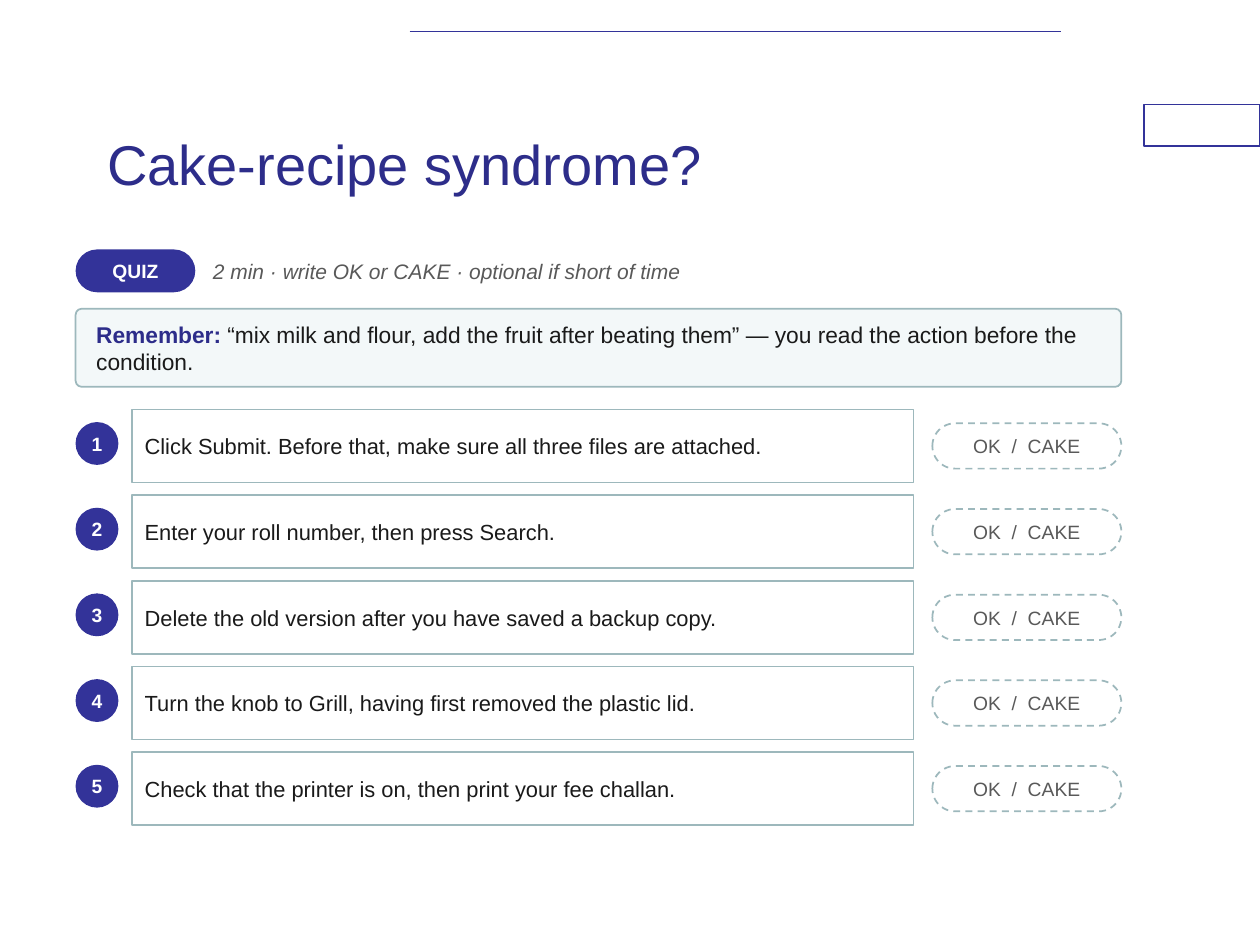
from lxml.etree import SubElement
from pptx import Presentation
from pptx.dml.color import RGBColor
from pptx.enum.dml import MSO_LINE
from pptx.enum.shapes import MSO_CONNECTOR, MSO_SHAPE
from pptx.enum.text import MSO_ANCHOR, PP_ALIGN
from pptx.oxml.ns import qn
from pptx.util import Inches, Pt

TITLE = "Cake-recipe syndrome?"
BADGE = "QUIZ"
INSTRUCTION = "2 min · write OK or CAKE · optional if short of time"
REMINDER_LABEL = "Remember: "
REMINDER = ("“mix milk and flour, add the fruit after beating them” — "
            "you read the action before the condition.")
QUESTIONS = [
    "Click Submit. Before that, make sure all three files are attached.",
    "Enter your roll number, then press Search.",
    "Delete the old version after you have saved a backup copy.",
    "Turn the knob to Grill, having first removed the plastic lid.",
    "Check that the printer is on, then print your fee challan.",
]
ANSWER = "OK  /  CAKE"

FONT = "Arial"
INDIGO = RGBColor(0x33, 0x33, 0x99)
TITLE_BLUE = RGBColor(0x2D, 0x2D, 0x8A)
TEAL = RGBColor(0x9D, 0xB8, 0xBC)
PALE_TEAL = RGBColor(0xF3, 0xF8, 0xF9)
INK = RGBColor(0x1A, 0x1A, 0x1A)
GREY = RGBColor(0x59, 0x59, 0x59)
WHITE = RGBColor(0xFF, 0xFF, 0xFF)

LEFT = 0.6
FIRST_ROW_TOP = 3.25
ROW_PITCH = 0.68


def add_box(slide, kind, box, fill=None, line=None, width=1, radius=None):
    """Add a preset shape; box is left, top, width and height in inches."""
    shape = slide.shapes.add_shape(kind, *map(Inches, box))
    shape.shadow.inherit = False
    if fill is None:
        shape.fill.background()
    else:
        shape.fill.solid()
        shape.fill.fore_color.rgb = fill
    if line is None:
        shape.line.fill.background()
    else:
        shape.line.color.rgb = line
        shape.line.width = Pt(width)
    if radius is not None:
        shape.adjustments[0] = radius
    return shape


def format_font(font, size, color, bold=False, italic=False):
    font.name = FONT
    font.size = Pt(size)
    font.color.rgb = color
    font.bold = bold
    font.italic = italic


def write(shape, text, size, color, inset, align=PP_ALIGN.LEFT, **style):
    """Fill a shape with one vertically centred paragraph and return it."""
    frame = shape.text_frame
    frame.word_wrap = True
    frame.vertical_anchor = MSO_ANCHOR.MIDDLE
    frame.margin_left = frame.margin_right = Inches(inset)
    frame.margin_top = frame.margin_bottom = Inches(inset)
    frame.text = text
    paragraph = frame.paragraphs[0]
    paragraph.alignment = align
    format_font(paragraph.runs[0].font, size, color, **style)
    return paragraph


def add_header(slide):
    add_box(slide, MSO_SHAPE.RECTANGLE, (9.08, 0.83, 0.92, 0.33), WHITE, INDIGO, 0.75)
    rule = slide.shapes.add_connector(
        MSO_CONNECTOR.STRAIGHT, Inches(3.25), Inches(0.25), Inches(8.42), Inches(0.25))
    rule.line.color.rgb = INDIGO
    rule.line.width = Pt(1)
    SubElement(rule._element.spPr, qn("a:effectLst"))

    title = slide.shapes.title
    title.left, title.top = Inches(0.75), Inches(0.67)
    title.width, title.height = Inches(7.5), Inches(1.25)
    write(title, TITLE, 32, TITLE_BLUE, 0.1)


def add_introduction(slide):
    badge = add_box(slide, MSO_SHAPE.ROUNDED_RECTANGLE, (LEFT, 1.98, 0.95, 0.34),
                    INDIGO, radius=0.5)
    write(badge, BADGE, 11, WHITE, 0.03, PP_ALIGN.CENTER, bold=True)

    instruction = slide.shapes.add_textbox(
        Inches(1.67), Inches(1.98), Inches(7.23), Inches(0.34))
    write(instruction, INSTRUCTION, 12, GREY, 0.02, italic=True)

    reminder = add_box(slide, MSO_SHAPE.ROUNDED_RECTANGLE, (LEFT, 2.45, 8.3, 0.62),
                       PALE_TEAL, TEAL, radius=0.08)
    paragraph = write(reminder, REMINDER_LABEL, 13, TITLE_BLUE, 0.15, bold=True)
    run = paragraph.add_run()
    run.text = REMINDER
    format_font(run.font, 13, INK)


def add_question(slide, number, question):
    top = FIRST_ROW_TOP + (number - 1) * ROW_PITCH
    marker = add_box(slide, MSO_SHAPE.OVAL, (LEFT, top + 0.1, 0.34, 0.34), INDIGO)
    write(marker, str(number), 11, WHITE, 0, PP_ALIGN.CENTER, bold=True)

    card = add_box(slide, MSO_SHAPE.RECTANGLE, (1.05, top, 6.2, 0.58), WHITE, TEAL)
    write(card, question, 12.5, INK, 0.1)

    answer = add_box(slide, MSO_SHAPE.ROUNDED_RECTANGLE, (7.4, top + 0.11, 1.5, 0.36),
                     line=TEAL, radius=0.5)
    answer.line.dash_style = MSO_LINE.DASH
    write(answer, ANSWER, 11, GREY, 0.04, PP_ALIGN.CENTER)


def main():
    presentation = Presentation()
    presentation.slide_width, presentation.slide_height = Inches(10), Inches(7.5)
    slide = presentation.slides.add_slide(presentation.slide_layouts[5])
    add_header(slide)
    add_introduction(slide)
    for number, question in enumerate(QUESTIONS, start=1):
        add_question(slide, number, question)
    presentation.save("out.pptx")


if __name__ == "__main__":
    main()
